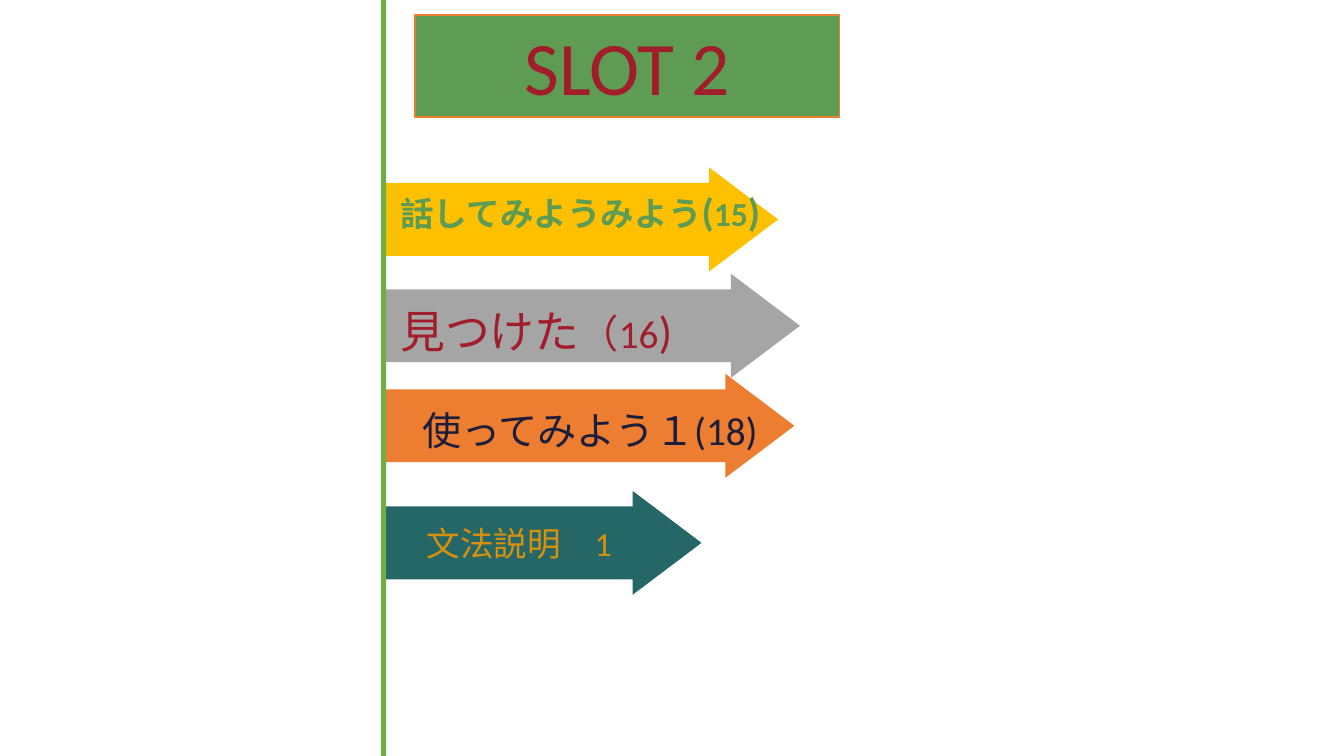
from pptx import Presentation
from pptx.dml.color import RGBColor
from pptx.enum.shapes import MSO_SHAPE
from pptx.enum.text import MSO_ANCHOR, MSO_AUTO_SIZE, PP_ALIGN
from pptx.util import Cm, Pt

SLIDE_WIDTH, SLIDE_HEIGHT = 33.87, 19.05
HEADING = {"runs": [("SLOT 2", 54)], "color": "A11D2B", "fill": "5E9C53",
           "line": "ED7D31", "box": (10.46, 0.38, 10.69, 2.57)}
BAR = {"fill": "70AD47", "box": (9.6, 0, 0.13, SLIDE_HEIGHT)}
STEPS = [
    {"top": 4.22, "width": 9.91, "fill": "FFC000", "color": "5E9C53", "bold": True,
     "runs": [("話してみようみよう", 24), ("(", 28), ("15", 24), (")", 28)],
     "label_box": (9.84, 4.6, 10.46, 1.45)},
    {"top": 6.9, "width": 10.46, "fill": "A5A5A5", "color": "A11D2B", "bold": False,
     "runs": [("見つけた", 32), ("（16", 28), (")", 32)],
     "label_box": (9.84, 7.52, 8.97, 1.63)},
    {"top": 9.42, "width": 10.32, "fill": "ED7D31", "color": "1A1E3B", "bold": False,
     "runs": [("使ってみよう１(18)", 28)],
     "label_box": (10.39, 10.11, 11.15, 1.45)},
    {"top": 12.37, "width": 7.98, "fill": "256766", "color": "D9910B", "bold": False,
     "runs": [("文法説明　1", 24)],
     "label_box": None},
]

ARROW_LEFT, ARROW_HEIGHT = 9.7, 2.62
ARROW_ADJUSTMENTS = (0.701, 0.663)
BOX_SIDES = ("left", "top", "width", "height")
LABEL_LAYOUT = (PP_ALIGN.LEFT, MSO_ANCHOR.TOP)
ARROW_TEXT_LAYOUT = (PP_ALIGN.CENTER, MSO_ANCHOR.MIDDLE)
HEADING_LAYOUT = (PP_ALIGN.CENTER, MSO_ANCHOR.TOP)


def apply_format(target, values):
    for name, value in values.items():
        setattr(target, name, value)


def paint(color_format, color):
    color_format.rgb = RGBColor.from_string(color)


def fill_with(shape, color):
    shape.fill.solid()
    paint(shape.fill.fore_color, color)


def add_block(slide, preset, box, fill):
    block = slide.shapes.add_shape(preset, *map(Cm, box))
    block.shadow.inherit = False
    block.line.fill.background()
    fill_with(block, fill)
    return block


def write(shape, runs, color, layout, bold=False):
    align, anchor = layout
    frame = shape.text_frame
    apply_format(frame, {"word_wrap": True, "auto_size": MSO_AUTO_SIZE.NONE,
                         "vertical_anchor": anchor})
    paragraph = frame.paragraphs[0]
    apply_format(paragraph, {"alignment": align, "line_spacing": 1.0, "space_before": Pt(0)})
    for text, size in runs:
        run = paragraph.add_run()
        run.text = text
        apply_format(run.font, {"name": "Calibri", "size": Pt(size), "bold": bold})
        paint(run.font.color, color)


def add_heading(slide):
    heading = slide.shapes.title
    apply_format(heading, dict(zip(BOX_SIDES, map(Cm, HEADING["box"]))))
    fill_with(heading, HEADING["fill"])
    paint(heading.line.color, HEADING["line"])
    heading.line.width = Pt(1)
    write(heading, HEADING["runs"], HEADING["color"], HEADING_LAYOUT)


def add_step_arrow(slide, step):
    arrow_box = (ARROW_LEFT, step["top"], step["width"], ARROW_HEIGHT)
    arrow = add_block(slide, MSO_SHAPE.RIGHT_ARROW, arrow_box, step["fill"])
    for index, adjustment in enumerate(ARROW_ADJUSTMENTS):
        arrow.adjustments[index] = adjustment
    return arrow


def add_step(slide, step):
    label, layout = add_step_arrow(slide, step), ARROW_TEXT_LAYOUT
    if step["label_box"]:
        label, layout = slide.shapes.add_textbox(*map(Cm, step["label_box"])), LABEL_LAYOUT
    write(label, step["runs"], step["color"], layout, step["bold"])


def main():
    deck = Presentation()
    apply_format(deck, {"slide_width": Cm(SLIDE_WIDTH), "slide_height": Cm(SLIDE_HEIGHT)})
    title_only = deck.slide_layouts.get_by_name("Title Only")
    slide = deck.slides.add_slide(title_only)
    add_heading(slide)
    for step in STEPS:
        add_step(slide, step)
    add_block(slide, MSO_SHAPE.RECTANGLE, BAR["box"], BAR["fill"])
    deck.save("out.pptx")


if __name__ == "__main__":
    main()
